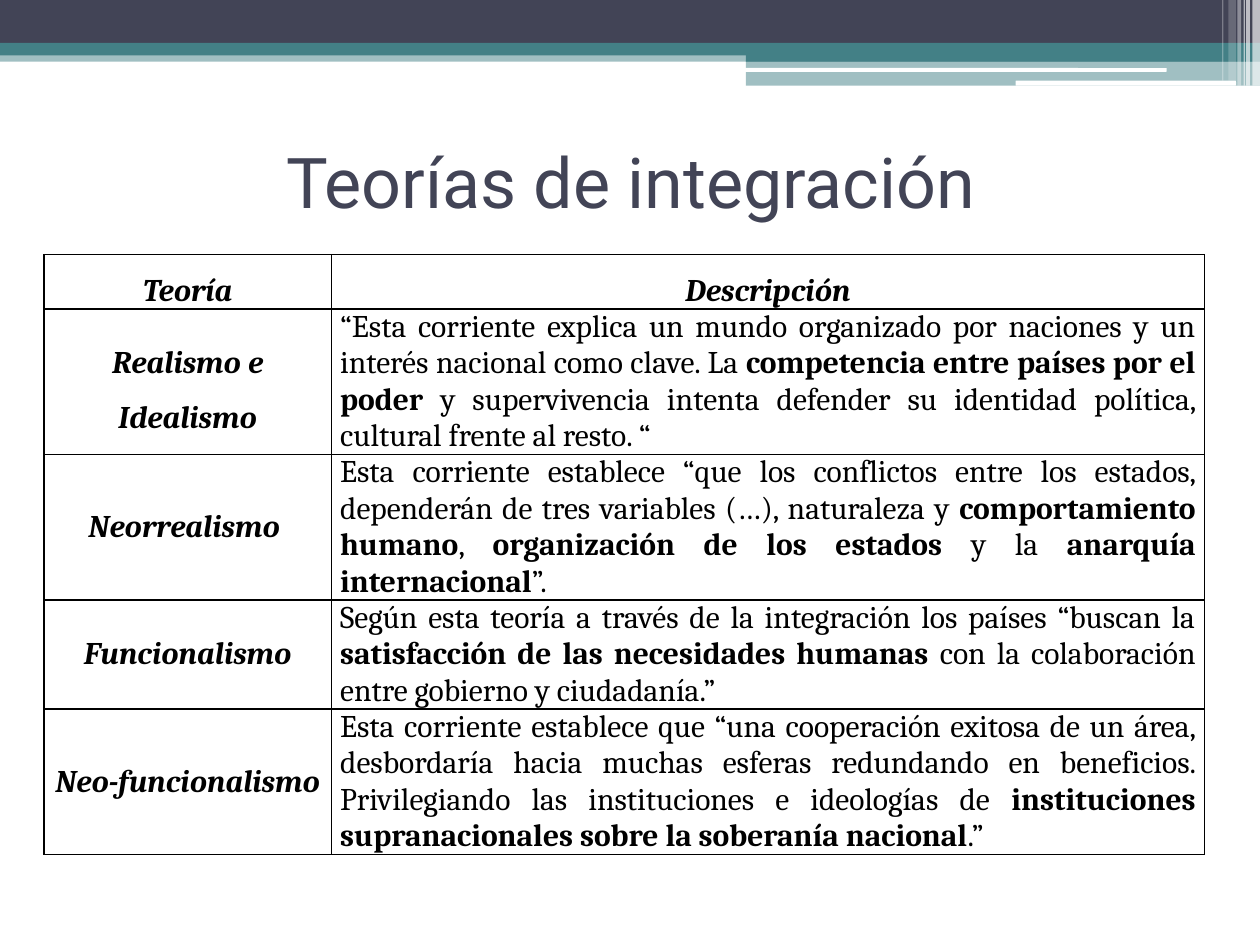
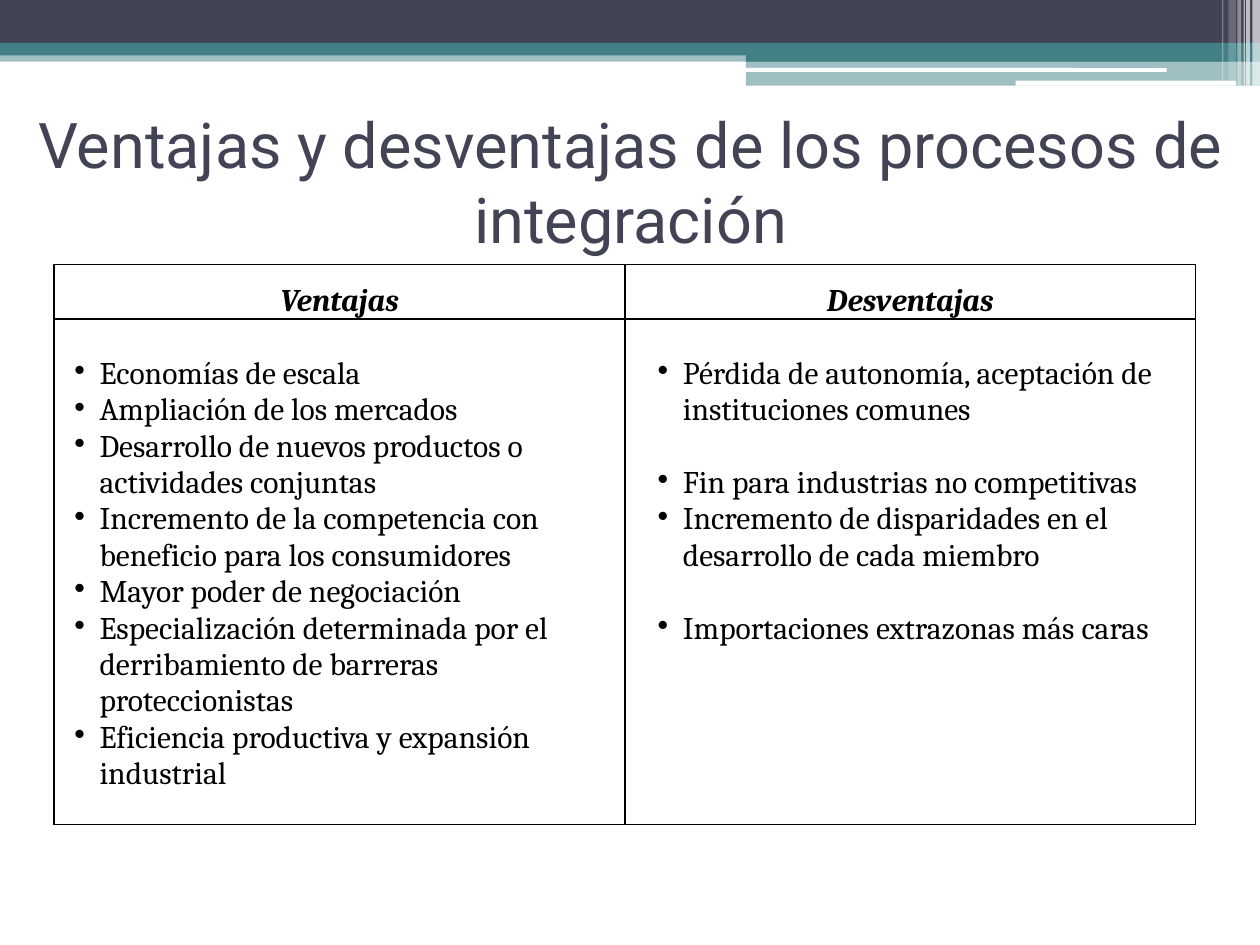
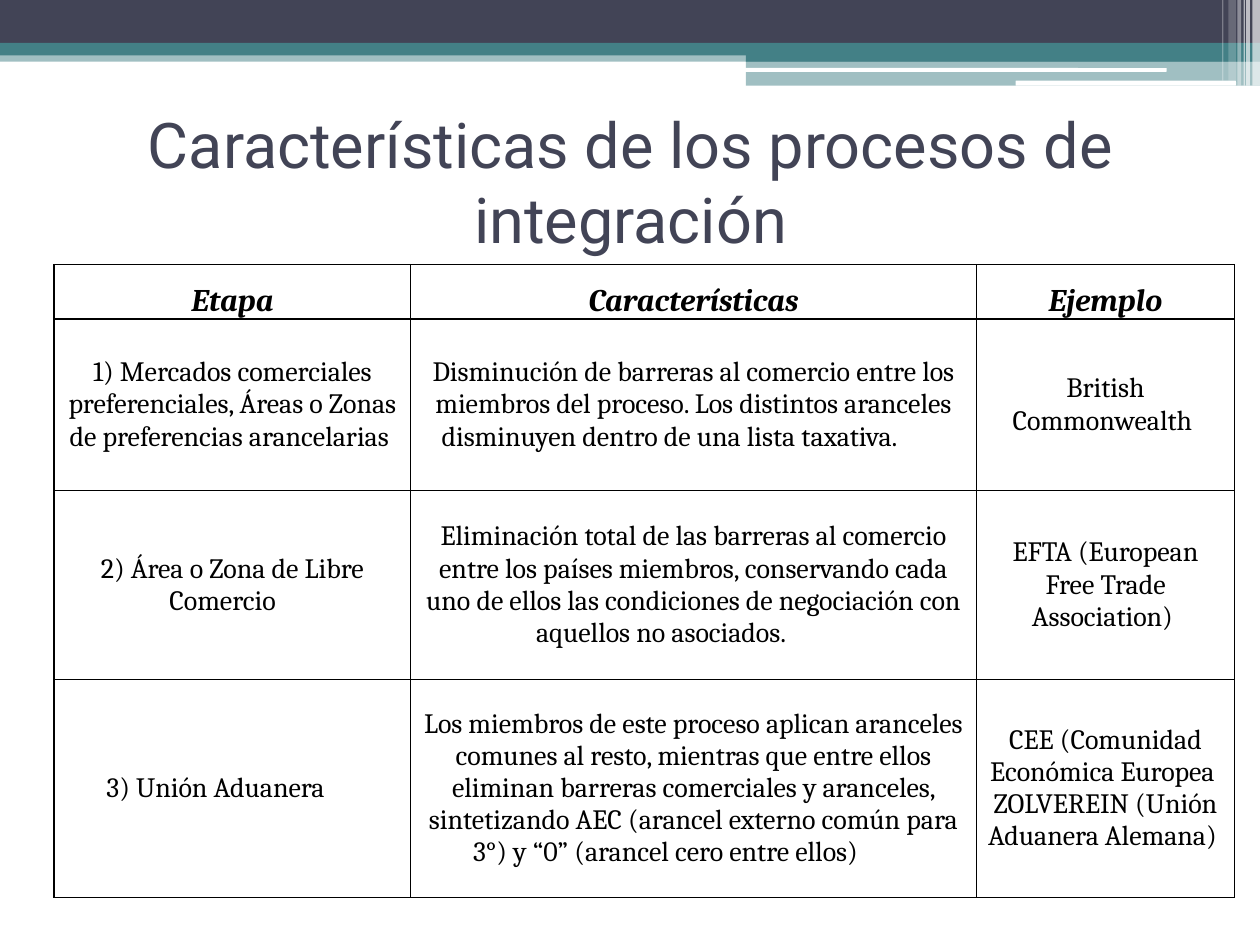
from dataclasses import dataclass

from lxml.etree import SubElement
from pptx import Presentation
from pptx.dml.color import RGBColor
from pptx.enum.shapes import MSO_SHAPE as Preset
from pptx.enum.text import MSO_ANCHOR as Anchor
from pptx.enum.text import MSO_AUTO_SIZE as AutoSize
from pptx.enum.text import PP_ALIGN as Align
from pptx.oxml.ns import qn
from pptx.util import Inches, Pt


@dataclass(frozen=True)
class Theme:
    dark: str = "424456"
    teal: str = "438086"
    white: str = "FFFFFF"
    black: str = "000000"
    title_font: str = "Roboto"
    text_font: str = "Cambria"
    title_size: int = 40
    long_title_size: int = 36
    text_size: int = 18
    small_size: int = 16
    border_points: int = 1
    cell_margin: float = 0.07
    header_height: float = 0.43


THEME = Theme()
TITLE_LAYOUT = 5
TITLE_BOX = (0.2, 0.85, 9.61, 1.17)

# preset, left, top, width, height, colour, opacity in percent
BANDS = [
    (Preset.RECTANGLE, 0, 0.4, 10, 0.09, THEME.teal, 50),
    (Preset.RECTANGLE, 0, 0, 10, 0.34, THEME.dark, 100),
    (Preset.RECTANGLE, 0, 0.34, 10, 0.1, THEME.teal, 100),
    (Preset.RECTANGLE, 5.92, 0.39, 4.08, 0.1, THEME.teal, 100),
    (Preset.RECTANGLE, 5.92, 0.48, 4.08, 0.2, THEME.teal, 50),
    (Preset.ROUNDED_RECTANGLE, 5.91, 0.54, 3.35, 0.03, THEME.white, 100),
    (Preset.ROUNDED_RECTANGLE, 8.06, 0.64, 1.75, 0.04, THEME.white, 100),
]
# left, width, height, opacity in percent
STRIPES = [
    (9.94, 0.06, 0.68, 65),
    (9.89, 0.03, 0.68, 65),
    (9.87, 0.01, 0.68, 60),
    (9.82, 0.03, 0.68, 40),
    (9.75, 0.06, 0.64, 20),
    (9.7, 0.01, 0.64, 30),
]

# Text between asterisks is bold.
THEORIES = [
    ("Realismo e Idealismo",
     "“Esta corriente explica un mundo organizado por naciones y un interés nacional como clave. "
     "La *competencia entre países por el poder *y supervivencia intenta defender su identidad "
     "política, cultural frente al resto. “"),
    ("Neorrealismo ",
     "Esta corriente establece “que los conflictos entre los estados, dependerán de tres variables "
     "(…), naturaleza y *comportamiento humano*, *organización de los estados *y la "
     "*anarquía internacional*”."),
    ("Funcionalismo",
     "Según esta teoría a través de la integración los países “buscan la *satisfacción de las "
     "necesidades humanas *con la colaboración entre gobierno y ciudadanía.”"),
    ("Neo-funcionalismo",
     "Esta corriente establece que “una cooperación exitosa de un área, desbordaría hacia muchas "
     "esferas redundando en beneficios. Privilegiando las instituciones e ideologías de "
     "*instituciones supranacionales sobre la soberanía nacional*.”"),
]
ADVANTAGES = [
    "Economías de escala",
    "Ampliación de los mercados",
    "Desarrollo de nuevos productos o actividades conjuntas",
    "Incremento de la competencia con beneficio para los consumidores",
    "Mayor poder de negociación",
    "Especialización determinada por el derribamiento de barreras proteccionistas",
    "Eficiencia productiva y expansión industrial",
]
DISADVANTAGES = [
    "Pérdida de autonomía, aceptación de instituciones comunes",
    "Fin para industrias no competitivas",
    "Incremento de disparidades en el desarrollo de cada miembro",
    "Importaciones extrazonas más caras",
]
STAGES = [
    ("1) Mercados comerciales preferenciales, Áreas o Zonas de preferencias arancelarias ",
     "Disminución de barreras al comercio entre los miembros del proceso. Los distintos aranceles "
     "disminuyen dentro de una lista taxativa. \t",
     "British Commonwealth "),
    ("2) Área o Zona de Libre Comercio \t",
     "Eliminación total de las barreras al comercio entre los países miembros, conservando cada "
     "uno de ellos las condiciones de negociación con aquellos no asociados. \t",
     "EFTA (European Free Trade Association) "),
    ("3) Unión Aduanera \t",
     "Los miembros de este proceso aplican aranceles comunes al resto, mientras que entre ellos "
     "eliminan barreras comerciales y aranceles, sintetizando AEC (arancel externo común para 3°) "
     "y “0” (arancel cero entre ellos) \t",
     "CEE (Comunidad Económica Europea \nZOLVEREIN (Unión Aduanera Alemana) "),
]


def set_values(target, values):
    for name, value in values.items():
        setattr(target, name, value)


def style_font(font, name, size, color, **values):
    set_values(font, {"name": name, "size": Pt(size), **values})
    font.color.rgb = RGBColor.from_string(color)


def add_band(slide, preset, left, top, width, height, color, opacity):
    band = slide.shapes.add_shape(preset, *map(Inches, (left, top, width, height)))
    band.shadow.inherit = False
    band.line.fill.background()
    band.fill.solid()
    band.fill.fore_color.rgb = RGBColor.from_string(color)
    if opacity < 100:
        color_element = band.element.spPr.find(".//" + qn("a:srgbClr"))
        SubElement(color_element, qn("a:alpha")).set("val", str(opacity * 1000))
    return band


def add_master_bands(deck, slide):
    """Draw the header bands on a slide, then move them behind the master's placeholders."""
    stripes = [(Preset.RECTANGLE, left, 0, width, height, THEME.white, opacity)
               for left, width, height, opacity in STRIPES]
    tree = deck.slide_master.shapes.element
    for index, values in enumerate(BANDS + stripes):
        band = add_band(slide, *values)
        band.element.nvSpPr.cNvPr.set("id", str(100 + index))
        tree.insert(2 + index, band.element)


def place_layout_title(layout):
    edges = map(Inches, TITLE_BOX)
    set_values(layout.placeholders[0], dict(zip(("left", "top", "width", "height"), edges)))


def add_titled_slide(deck, title, size):
    slide = deck.slides.add_slide(deck.slide_layouts[TITLE_LAYOUT])
    frame = slide.shapes.title.text_frame
    set_values(frame, {
        "text": title, "word_wrap": True, "auto_size": AutoSize.NONE,
        "vertical_anchor": Anchor.MIDDLE,
        "margin_left": Inches(0.05), "margin_right": Inches(0.05),
    })
    para = frame.paragraphs[0]
    para.alignment = Align.CENTER
    style_font(para.runs[0].font, THEME.title_font, size, THEME.dark)
    return slide


def add_borders(cell):
    properties = cell._tc.get_or_add_tcPr()
    for index, side in enumerate(("lnL", "lnR", "lnT", "lnB")):
        line = SubElement(properties, qn("a:" + side), w=str(Pt(THEME.border_points)))
        fill = SubElement(line, qn("a:solidFill"))
        SubElement(fill, qn("a:srgbClr"), val=THEME.black)
        properties.insert(index, line)


def add_table(slide, left, top, columns, heights, headings):
    """Add a ruled table, write its heading row and return the table."""
    rows = [THEME.header_height, *heights]
    box = (left, top, sum(columns), sum(rows))
    table = slide.shapes.add_table(len(rows), len(columns), *map(Inches, box)).table
    set_values(table, {"first_row": False, "horz_banding": False})
    for column, width in zip(table.columns, columns):
        column.width = Inches(width)
    for row, height in zip(table.rows, rows):
        row.height = Inches(height)
    margin = Inches(THEME.cell_margin)
    for cell in table.iter_cells():
        set_values(cell, {"margin_left": margin, "margin_right": margin,
                          "margin_top": 0, "margin_bottom": 0})
        cell.fill.background()
        add_borders(cell)
    for index, heading in enumerate(headings):
        write_heading(table.cell(0, index), heading)
    return table


def write_cell(cell, text, align=Align.CENTER, anchor=Anchor.MIDDLE,
               size=THEME.text_size, spacing=None, bold=False, italic=False):
    cell.vertical_anchor = anchor
    cell.text = text.replace("*", "")
    for para, line in zip(cell.text_frame.paragraphs, text.split("\n")):
        set_values(para, {"alignment": align, "line_spacing": spacing})
        para.clear()
        for index, part in enumerate(line.split("*")):
            span = para.add_run()
            span.text = part
            style_font(span.font, THEME.text_font, size, THEME.black,
                       bold=bold or index % 2 == 1, italic=italic)


def write_heading(cell, text, anchor=Anchor.TOP, spacing=1.5):
    write_cell(cell, text, anchor=anchor, spacing=spacing, bold=True, italic=True)


def write_bullets(cell, items, indent, anchor, spaced=()):
    """Fill a cell with a bulleted list; the items numbered in spaced have a line of space above."""
    set_values(cell, {"margin_top": Inches(0.29), "margin_bottom": Inches(0.25)})
    write_cell(cell, "\n".join(items), Align.LEFT, anchor)
    for index, para in enumerate(cell.text_frame.paragraphs):
        properties = para._p.get_or_add_pPr()
        properties.set("marL", str(Inches(indent)))
        properties.set("indent", str(Inches(-0.2)))
        SubElement(properties, qn("a:buChar"), char="•")
        if index in spaced:
            para.space_before = Pt(21)


def fill_theories(slide):
    table = add_table(slide, 0.35, 2.02, [2.28, 6.93], [1.15, 1.15, 0.86, 1.15],
                      ["Teoría", "Descripción"])
    for row, (theory, description) in enumerate(THEORIES, 1):
        spacing = 1.5 if row == 1 else None
        write_heading(table.cell(row, 0), theory, Anchor.MIDDLE, spacing)
        write_cell(table.cell(row, 1), description, Align.JUSTIFY, Anchor.TOP)


def fill_comparison(slide):
    table = add_table(slide, 0.43, 2.1, [4.53, 4.53], [4.01], ["Ventajas", "Desventajas"])
    write_bullets(table.cell(1, 0), ADVANTAGES, 0.29, Anchor.MIDDLE)
    write_bullets(table.cell(1, 1), DISADVANTAGES, 0.39, Anchor.TOP, spaced=(1, 3))


def fill_stages(slide):
    table = add_table(slide, 0.43, 2.1, [2.83, 4.49, 2.05], [1.36, 1.5, 1.73],
                      ["Etapa", "Características", "Ejemplo"])
    for row, texts in enumerate(STAGES, 1):
        for column, text in enumerate(texts):
            write_cell(table.cell(row, column), text, size=THEME.small_size)


def main():
    deck = Presentation()
    deck.slide_width, deck.slide_height = Inches(10), Inches(7.5)
    place_layout_title(deck.slide_layouts[TITLE_LAYOUT])

    theories = add_titled_slide(deck, "Teorías de integración", THEME.title_size)
    add_master_bands(deck, theories)
    fill_theories(theories)

    fill_comparison(add_titled_slide(
        deck, "Ventajas y desventajas de los procesos de integración", THEME.long_title_size))
    fill_stages(add_titled_slide(
        deck, "Características de los procesos de integración", THEME.long_title_size))
    deck.save("out.pptx")


if __name__ == "__main__":
    main()
